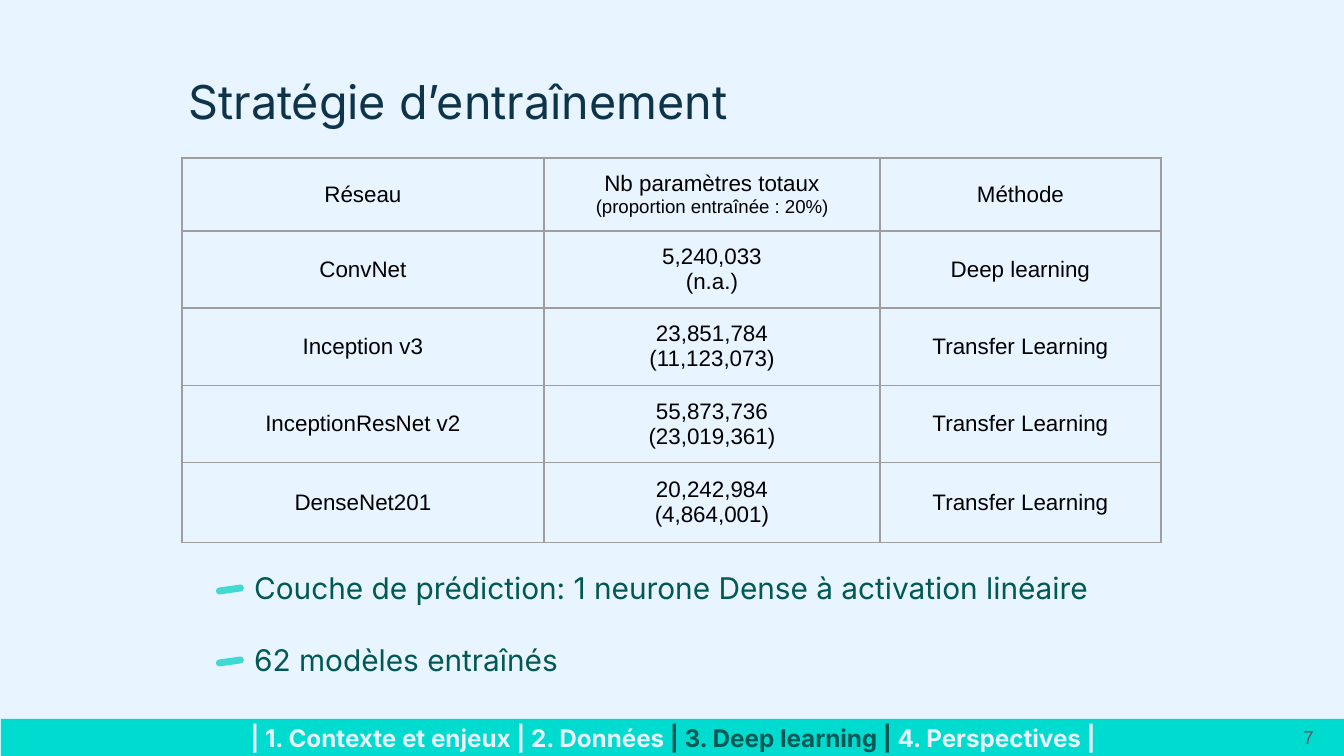
from lxml import etree
from pptx import Presentation
from pptx import util as u
from pptx.dml.color import RGBColor
from pptx.enum import shapes, text
from pptx.oxml.ns import qn

TITLE = "Stratégie d’entraînement"
NETWORKS = [
    ("Réseau", "Nb paramètres totaux\n(proportion entraînée : 20%)", "Méthode"),
    ("ConvNet", "5,240,033\n(n.a.)", "Deep learning"),
    ("Inception v3", "23,851,784\n(11,123,073)", "Transfer Learning"),
    ("InceptionResNet v2", "55,873,736\n(23,019,361)", "Transfer Learning"),
    ("DenseNet201", "20,242,984\n(4,864,001)", "Transfer Learning"),
]
REMARKS = [
    "Couche de prédiction: 1 neurone Dense à activation linéaire",
    "62 modèles entraînés",
]
CHAPTERS = [
    ("| 1. Contexte et enjeux | 2. Données", "pale"),
    (" | 3. Deep learning |", "teal"),
    (" 4. Perspectives |", "pale"),
]
PAGE = "7"

COLORS = {
    "pale": "E8F4FF", "navy": "0E3449", "teal": "015955", "dash": "3FDAD2",
    "bar": "00DBD0", "grid": "9E9E9E", "black": "000000", "gray": "595959",
}
COLUMN_WIDTHS = [362, 336, 281]
ROW_HEIGHTS = [73, 77, 77, 77, 80]
REMARK_TOP, REMARK_STEP = 556, 72
PX = 9144000 / 1344


def px(*lengths):
    return [round(length * PX) for length in lengths]


def color(name):
    return RGBColor.from_string(COLORS[name])


def set_font(font, size, name, tint):
    font.size, font.name = u.Pt(size), name
    font.color.rgb = color(tint)


def set_frame(frame, anchor):
    frame.word_wrap = True
    frame.auto_size = text.MSO_AUTO_SIZE.NONE
    frame.vertical_anchor = anchor
    frame.margin_left = frame.margin_right = u.Inches(0.1)
    frame.margin_top = frame.margin_bottom = u.Inches(0.1)


def add_label(slide, box, words, size, name, tint,
              align=text.PP_ALIGN.LEFT, anchor=text.MSO_ANCHOR.TOP):
    frame = slide.shapes.add_textbox(*px(*box)).text_frame
    set_frame(frame, anchor)
    paragraph = frame.paragraphs[0]
    paragraph.text, paragraph.alignment = words, align
    set_font(paragraph.font, size, name, tint)


def add_block(slide, kind, box, tint):
    block = slide.shapes.add_shape(kind, *px(*box))
    block.shadow.inherit = False
    block.fill.solid()
    block.fill.fore_color.rgb = color(tint)
    block.line.fill.background()
    return block


def add_borders(cell):
    properties = cell._tc.get_or_add_tcPr()
    for position, side in enumerate(("a:lnL", "a:lnR", "a:lnT", "a:lnB")):
        line = etree.Element(qn(side), w=str(u.Pt(0.75)))
        fill = etree.SubElement(line, qn("a:solidFill"))
        etree.SubElement(fill, qn("a:srgbClr"), val=COLORS["grid"])
        properties.insert(position, line)


def add_networks(slide):
    box = px(182, 158, sum(COLUMN_WIDTHS), sum(ROW_HEIGHTS))
    table = slide.shapes.add_table(len(NETWORKS), len(COLUMN_WIDTHS), *box).table
    table.first_row = table.horz_banding = False
    for column, width in zip(table.columns, px(*COLUMN_WIDTHS)):
        column.width = width
    for row, height in zip(table.rows, px(*ROW_HEIGHTS)):
        row.height = height
    for r, network in enumerate(NETWORKS):
        for c, words in enumerate(network):
            cell = table.cell(r, c)
            cell.text = words
            cell.fill.background()
            cell.vertical_anchor = text.MSO_ANCHOR.MIDDLE
            cell.margin_left = cell.margin_right = u.Inches(0.1)
            cell.margin_top = cell.margin_bottom = u.Inches(0.1)
            add_borders(cell)
            for n, paragraph in enumerate(cell.text_frame.paragraphs):
                paragraph.alignment = text.PP_ALIGN.CENTER
                set_font(paragraph.font, 10 if r == 0 and n else 12, "Arial", "black")


def add_chapters(slide):
    bar = add_block(slide, shapes.MSO_SHAPE.RECTANGLE, (1, 719, 1344, 37), "bar")
    set_frame(bar.text_frame, text.MSO_ANCHOR.MIDDLE)
    paragraph = bar.text_frame.paragraphs[0]
    paragraph.alignment = text.PP_ALIGN.CENTER
    for words, tint in CHAPTERS:
        run = paragraph.add_run()
        run.text = words
        set_font(run.font, 13, "Inter", tint)
        run.font.bold = True


def main():
    deck = Presentation()
    deck.slide_width, deck.slide_height = px(1344, 756)
    slide = deck.slides.add_slide(deck.slide_layouts[5])
    slide.background.fill.solid()
    slide.background.fill.fore_color.rgb = color("pale")

    title = slide.shapes.title
    title.left, title.top, title.width, title.height = px(175, 59, 781, 78)
    title.text = TITLE
    set_frame(title.text_frame, text.MSO_ANCHOR.TOP)
    heading = title.text_frame.paragraphs[0]
    heading.alignment = text.PP_ALIGN.LEFT
    set_font(heading.font, 25, "Inter", "navy")

    add_networks(slide)
    for n, remark in enumerate(REMARKS):
        top = REMARK_TOP + n * REMARK_STEP
        add_label(slide, (241, top, 879, 63), remark, 16, "Inter", "teal")
        dash = add_block(slide, shapes.MSO_SHAPE.ROUNDED_RECTANGLE,
                         (216, top + 30, 28, 7), "dash")
        dash.adjustments[0] = 0.5
        dash.rotation = 351.9
    add_chapters(slide)
    add_label(slide, (1246, 708, 81, 58), PAGE, 10, "Arial", "gray",
              text.PP_ALIGN.RIGHT, text.MSO_ANCHOR.MIDDLE)
    deck.save("out.pptx")


if __name__ == "__main__":
    main()
